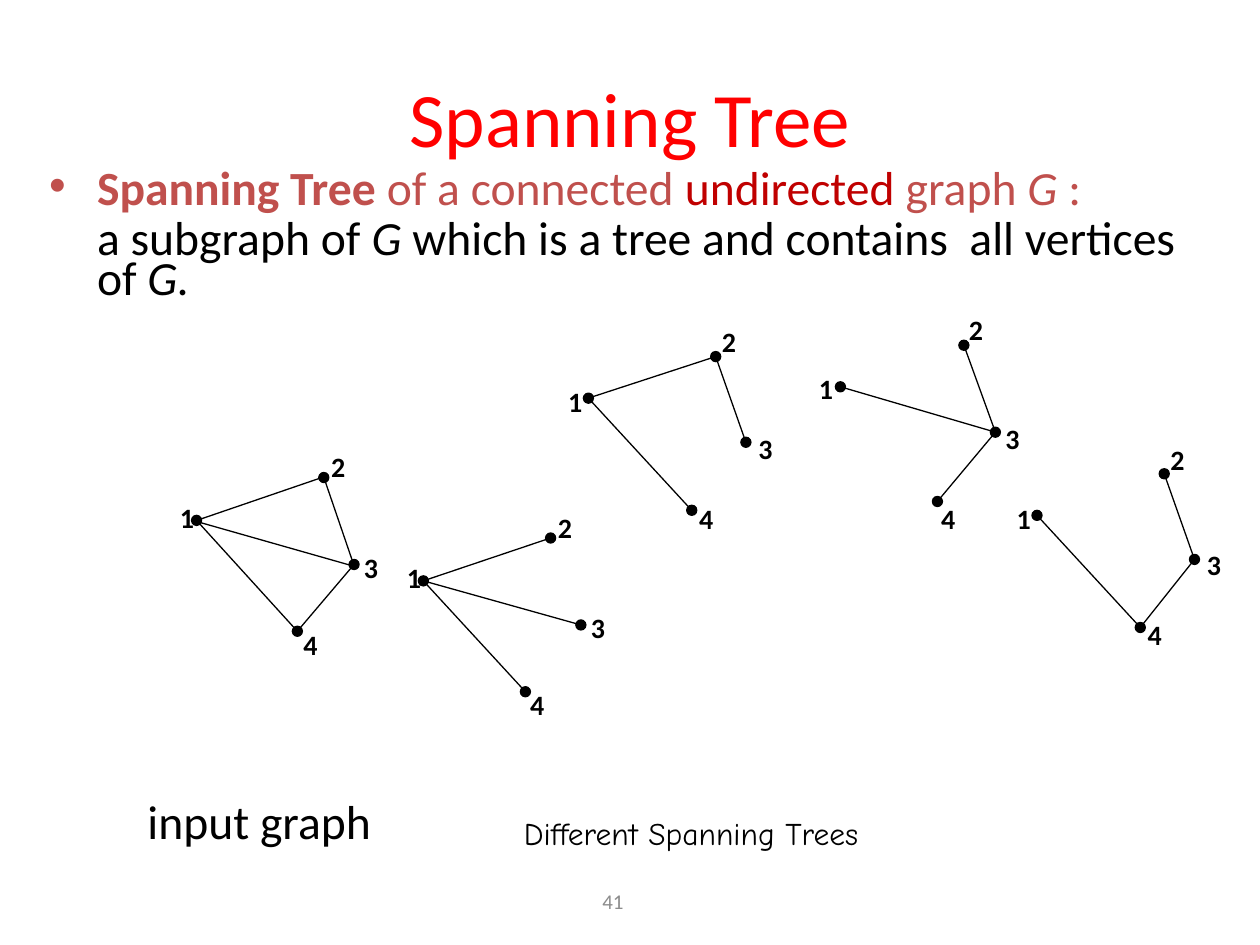
from lxml.etree import SubElement
from pptx import Presentation
from pptx.dml.color import RGBColor
from pptx.enum.shapes import MSO_CONNECTOR, MSO_SHAPE
from pptx.enum.text import MSO_ANCHOR, MSO_AUTO_SIZE, PP_ALIGN
from pptx.oxml.ns import qn
from pptx.util import Inches, Pt

COLORS = {"title": "FF0000", "term": "C0504D", "accent": "C00000",
          "ink": "000000", "number": "8C8C8C"}
FONT, CAPTION_FONT = "Calibri", "Comic Neue"
BODY_SIZE = 27.2
DOT = 0.08
LABEL_SIZE = (0.31, 0.37)

# Runs: text, colour, bold, italic
DEFINITION = [
    [("Spanning Tree ", "term", True, False), ("of a connected ", "term", False, False),
     ("undirected", "accent", False, False), (" graph ", "term", False, False),
     ("G", "term", False, True), (" :", "term", False, False)],
    [("a subgraph of ", "ink", False, False), ("G", "ink", False, True),
     (" which is a tree and contains  all vertices of ", "ink", False, False),
     ("G.", "ink", False, True)],
    [("input graph", "ink", False, False)],
]
# Per paragraph: left margin, first-line indent (inches), space before (points)
PARAGRAPH_LAYOUT = [(0.38, -0.38, 5.4), (0.38, 0, 5.4), (0.78, 0, 288)]

# Vertices 1 to 4: dot centres and label corners, then the edges
INPUT_GRAPH = {
    "dots": [(1.56, 4.13), (2.57, 3.79), (2.81, 4.48), (2.36, 5.01)],
    "labels": [(1.33, 3.92), (2.53, 3.52), (2.79, 4.32), (2.31, 4.93)],
    "edges": [(1, 4), (3, 4)],
    "triangle": (1.64, 3.94, 1.08, 0.75, 161.1),  # edges 1-2, 2-3 and 1-3
}
SPANNING_TREES = [
    {"dots": [(4.67, 3.16), (5.68, 2.83), (5.92, 3.51), (5.49, 4.05)],
     "labels": [(4.41, 3.0), (5.63, 2.53), (5.92, 3.38), (5.45, 3.93)],
     "edges": [(1, 2), (2, 3), (1, 4)]},
    {"dots": [(6.67, 3.07), (7.65, 2.74), (7.9, 3.43), (7.44, 3.98)],
     "labels": [(6.4, 2.9), (7.59, 2.43), (7.88, 3.3), (7.37, 3.93)],
     "edges": [(2, 3), (1, 3), (3, 4)]},
    {"dots": [(3.36, 4.61), (4.37, 4.27), (4.61, 4.96), (4.17, 5.49)],
     "labels": [(3.13, 4.4), (4.33, 4.0), (4.59, 4.8), (4.11, 5.41)],
     "edges": [(1, 4), (1, 2), (1, 3)]},
    {"dots": [(8.23, 4.09), (9.24, 3.76), (9.48, 4.44), (9.05, 4.98)],
     "labels": [(7.97, 3.93), (9.19, 3.46), (9.48, 4.3), (9.01, 4.85)],
     "edges": [(3, 4), (2, 3), (1, 4)]},
]


def rgb(name):
    return RGBColor.from_string(COLORS[name])


def inches(*lengths):
    return [Inches(length) for length in lengths]


def place(shape, *box):
    shape.left, shape.top, shape.width, shape.height = inches(*box)


def style_font(font, size, color, name=FONT, bold=False):
    font.size, font.name, font.bold = Pt(size), name, bold
    font.color.rgb = rgb(color)


def style_line(line):
    line.color.rgb = rgb("ink")
    line.width = Pt(0.75)


def add_label(shapes, text, box, size, color="ink", name=FONT, bold=False, wrap=True):
    label = shapes.add_textbox(*inches(*box))
    label.text_frame.word_wrap = wrap
    paragraph = label.text_frame.paragraphs[0]
    paragraph.text = text
    style_font(paragraph.font, size, color, name, bold)
    return label


def draw_graph(slide, graph):
    shapes = slide.shapes.add_group_shape().shapes
    if "triangle" in graph:
        *box, angle = graph["triangle"]
        triangle = shapes.add_shape(MSO_SHAPE.RIGHT_TRIANGLE, *inches(*box))
        triangle.rotation = angle
        triangle.shadow.inherit = False
        triangle.fill.background()
        style_line(triangle.line)
    for start, end in graph["edges"]:
        ends = graph["dots"][start - 1] + graph["dots"][end - 1]
        edge = shapes.add_connector(MSO_CONNECTOR.STRAIGHT, *inches(*ends))
        style_line(edge.line)
        SubElement(edge._element.spPr, qn("a:effectLst"))
    vertices = zip(graph["dots"], graph["labels"])
    for number, ((x, y), corner) in enumerate(vertices, start=1):
        dot = shapes.add_shape(MSO_SHAPE.OVAL, *inches(x - DOT / 2, y - DOT / 2, DOT, DOT))
        dot.shadow.inherit = False
        dot.fill.solid()
        dot.fill.fore_color.rgb = rgb("ink")
        style_line(dot.line)
        add_label(shapes, str(number), corner + LABEL_SIZE, 16, bold=True, wrap=False)


def fill_body(body):
    frame = body.text_frame
    frame.auto_size = MSO_AUTO_SIZE.NONE
    for index, (runs, layout) in enumerate(zip(DEFINITION, PARAGRAPH_LAYOUT)):
        paragraph = frame.add_paragraph() if index else frame.paragraphs[0]
        margin, indent, gap = layout
        paragraph.line_spacing = 0.7
        paragraph.space_before = Pt(gap)
        properties = paragraph._p.get_or_add_pPr()
        properties.set("marL", str(Inches(margin)))
        properties.set("indent", str(Inches(indent)))
        if indent == 0:
            SubElement(properties, qn("a:buNone"))
        for text, color, bold, italic in runs:
            run = paragraph.add_run()
            run.text = text
            style_font(run.font, BODY_SIZE, color, bold=bold)
            run.font.italic = italic


def main():
    presentation = Presentation()
    presentation.slide_width, presentation.slide_height = inches(10, 7.5)
    slide = presentation.slides.add_slide(presentation.slide_layouts[1])

    # Title and definition
    title, body = slide.placeholders
    place(title, 0.5, 0.3, 9, 1.25)
    title.text_frame.text = "Spanning Tree"
    title.text_frame.vertical_anchor = MSO_ANCHOR.MIDDLE
    heading = title.text_frame.paragraphs[0]
    heading.alignment = PP_ALIGN.CENTER
    style_font(heading.font, 44, "title")
    place(body, 0.29, 1.33, 9.41, 5.78)
    fill_body(body)

    # Input graph and its spanning trees
    for graph in [INPUT_GRAPH, *SPANNING_TREES]:
        draw_graph(slide, graph)
    add_label(slide.shapes, "Different Spanning Trees", (4.06, 6.41, 5.72, 0.51), 18,
              name=CAPTION_FONT)

    # Slide number
    number = add_label(slide.shapes, "41", (3.28, 6.95, 3.17, 0.4), 12, "number")
    number.text_frame.vertical_anchor = MSO_ANCHOR.MIDDLE
    number.text_frame.paragraphs[0].alignment = PP_ALIGN.CENTER

    presentation.save("out.pptx")


if __name__ == "__main__":
    main()
